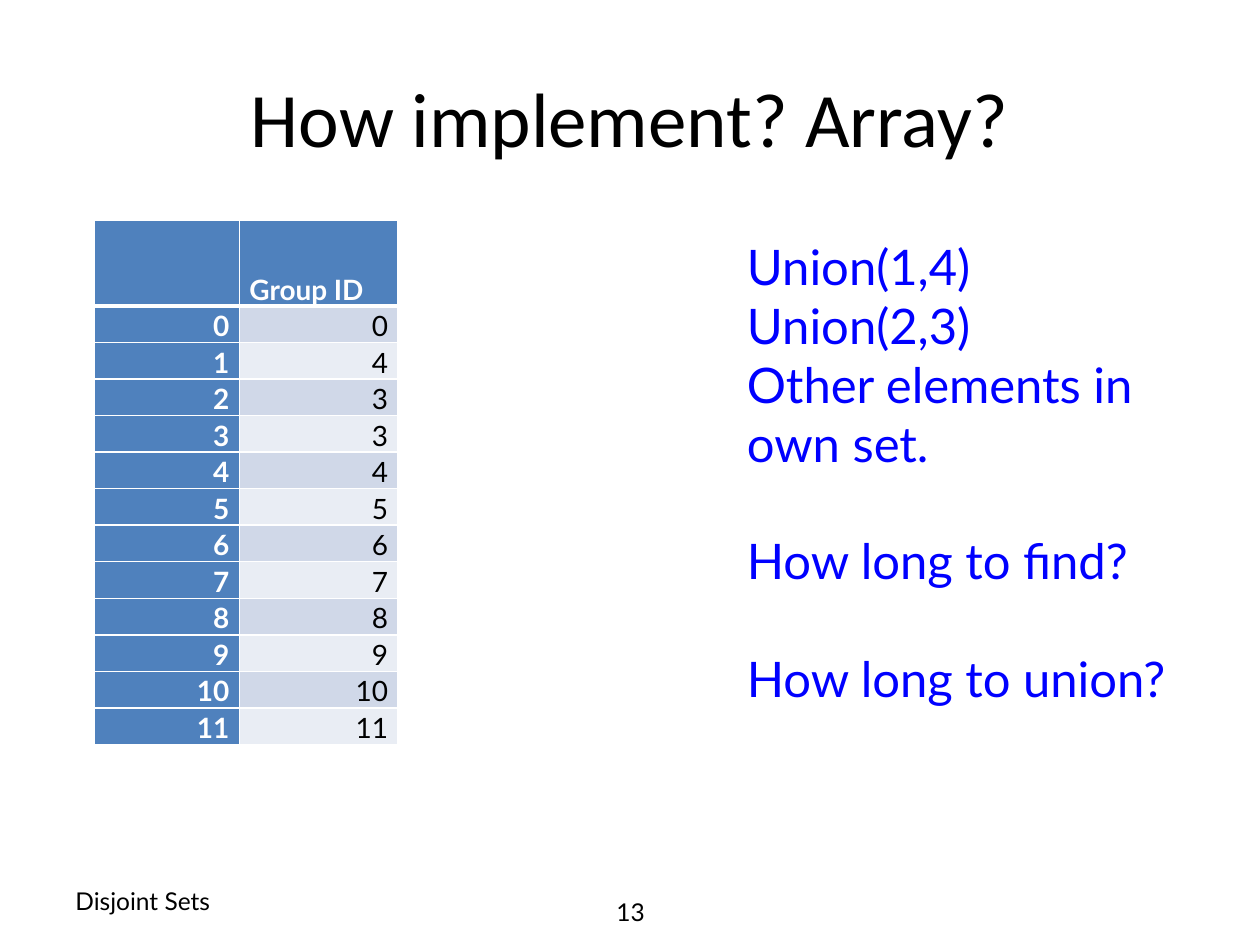
"""Build the slide on implementing disjoint sets with an array."""
import dataclasses

import lxml.etree
import pptx
import pptx.dml.color
import pptx.enum.text
import pptx.oxml.ns
import pptx.util

Inches = pptx.util.Inches
Pt = pptx.util.Pt
RGBColor = pptx.dml.color.RGBColor
Align = pptx.enum.text.PP_ALIGN
Anchor = pptx.enum.text.MSO_ANCHOR

BLACK = RGBColor(0x00, 0x00, 0x00)
WHITE = RGBColor(0xFF, 0xFF, 0xFF)
BLUE = RGBColor(0x00, 0x00, 0xFF)
HEADER_BLUE = RGBColor(0x4F, 0x81, 0xBD)
BANDS = (RGBColor(0xD0, 0xD8, 0xE8), RGBColor(0xE9, 0xED, 0xF4))

GROUP_IDS = (0, 4, 3, 3, 4, 5, 6, 7, 8, 9, 10, 11)
COLUMN_WIDTHS = (1.15, 1.26)
HEADER_HEIGHT = 0.68
ROW_HEIGHT = 0.29
QUESTION_GAP = 33.6


@dataclasses.dataclass
class Line:
    """One paragraph and the gap above it in points."""
    text: str
    gap: float = 0


@dataclasses.dataclass
class TextBlock:
    """A text box with its place and look."""
    left: float
    top: float
    width: float
    height: float
    lines: list[Line]
    size: float
    color: RGBColor = BLACK
    align: Align = Align.LEFT
    anchor: Anchor = Anchor.MIDDLE
    bottom_margin: float = 0.05


TEXT_BLOCKS = [
    TextBlock(0.5, 6.95, 2.33, 0.4, [Line("Disjoint Sets")], 14),
    TextBlock(3.42, 6.95, 3.17, 0.4, [Line("13")], 14, align=Align.CENTER,
              anchor=Anchor.BOTTOM, bottom_margin=0),
    TextBlock(5.83, 1.83, 3.9, 3.87, [
        Line("Union(1,4)"),
        Line("Union(2,3)"),
        Line("Other elements in own set."),
        Line("How long to find?", QUESTION_GAP),
        Line("How long to union?", QUESTION_GAP),
    ], 28, BLUE, anchor=Anchor.TOP),
]


def style_paragraph(paragraph, size: float, color: RGBColor, align: Align,
                    name: str = "Lato", bold: bool = False) -> None:
    """Set the font and alignment of a paragraph."""
    paragraph.alignment = align
    paragraph.font.name = name
    paragraph.font.size = Pt(size)
    paragraph.font.bold = bold
    paragraph.font.color.rgb = color


def add_text_block(slide, block: TextBlock) -> None:
    """Draw a text box from its description."""
    box = slide.shapes.add_textbox(Inches(block.left), Inches(block.top),
                                   Inches(block.width), Inches(block.height))
    frame = box.text_frame
    frame.word_wrap = True
    frame.vertical_anchor = block.anchor
    frame.margin_bottom = Inches(block.bottom_margin)
    frame.text = "\n".join(line.text for line in block.lines)
    for paragraph, line in zip(frame.paragraphs, block.lines):
        style_paragraph(paragraph, block.size, block.color, block.align)
        paragraph.space_before = Pt(line.gap)


def set_borders(cell, top: float = 1, bottom: float = 1) -> None:
    """Give a cell white borders with widths in points."""
    properties = cell._tc.get_or_add_tcPr()
    qualify = pptx.oxml.ns.qn
    for tag, width in (("a:lnL", 1), ("a:lnR", 1), ("a:lnT", top), ("a:lnB", bottom)):
        border = lxml.etree.SubElement(properties, qualify(tag), w=str(Pt(width)))
        fill = lxml.etree.SubElement(border, qualify("a:solidFill"))
        lxml.etree.SubElement(fill, qualify("a:srgbClr"), val=str(WHITE))


def add_group_table(slide) -> None:
    """Draw the array of elements and their group IDs."""
    rows = [("", "Group ID"), *enumerate(GROUP_IDS)]
    height = HEADER_HEIGHT + ROW_HEIGHT * len(GROUP_IDS)
    table = slide.shapes.add_table(
        len(rows), len(COLUMN_WIDTHS), Inches(0.75), Inches(1.75),
        Inches(sum(COLUMN_WIDTHS)), Inches(height)).table
    for column, width in zip(table.columns, COLUMN_WIDTHS):
        column.width = Inches(width)
    for row_index, values in enumerate(rows):
        is_header = row_index == 0
        table.rows[row_index].height = Inches(HEADER_HEIGHT if is_header else ROW_HEIGHT)
        for column_index, value in enumerate(values):
            cell = table.cell(row_index, column_index)
            is_label = is_header or column_index == 0
            set_borders(cell, top=3 if row_index == 1 else 1, bottom=3 if is_header else 1)
            cell.fill.solid()
            cell.fill.fore_color.rgb = HEADER_BLUE if is_label else BANDS[(row_index - 1) % 2]
            cell.vertical_anchor = Anchor.BOTTOM
            cell.margin_left = cell.margin_right = Inches(0.08)
            cell.margin_top = cell.margin_bottom = 0
            cell.text = str(value)
            style_paragraph(cell.text_frame.paragraphs[0], 16, WHITE if is_label else BLACK,
                            Align.LEFT if is_header else Align.RIGHT, bold=is_label)


def main() -> None:
    """Build and save the presentation."""
    presentation = pptx.Presentation()
    presentation.slide_width = Inches(10)
    presentation.slide_height = Inches(7.5)
    slide = presentation.slides.add_slide(presentation.slide_layouts[5])
    title = slide.shapes.title
    title.left, title.top = Inches(0.5), Inches(0.3)
    title.width, title.height = Inches(9), Inches(1.25)
    title.text_frame.text = "How implement? Array?"
    title.text_frame.vertical_anchor = Anchor.MIDDLE
    style_paragraph(title.text_frame.paragraphs[0], 44, BLACK, Align.CENTER, "Calibri")
    add_group_table(slide)
    for block in TEXT_BLOCKS:
        add_text_block(slide, block)
    presentation.save("out.pptx")


main()
